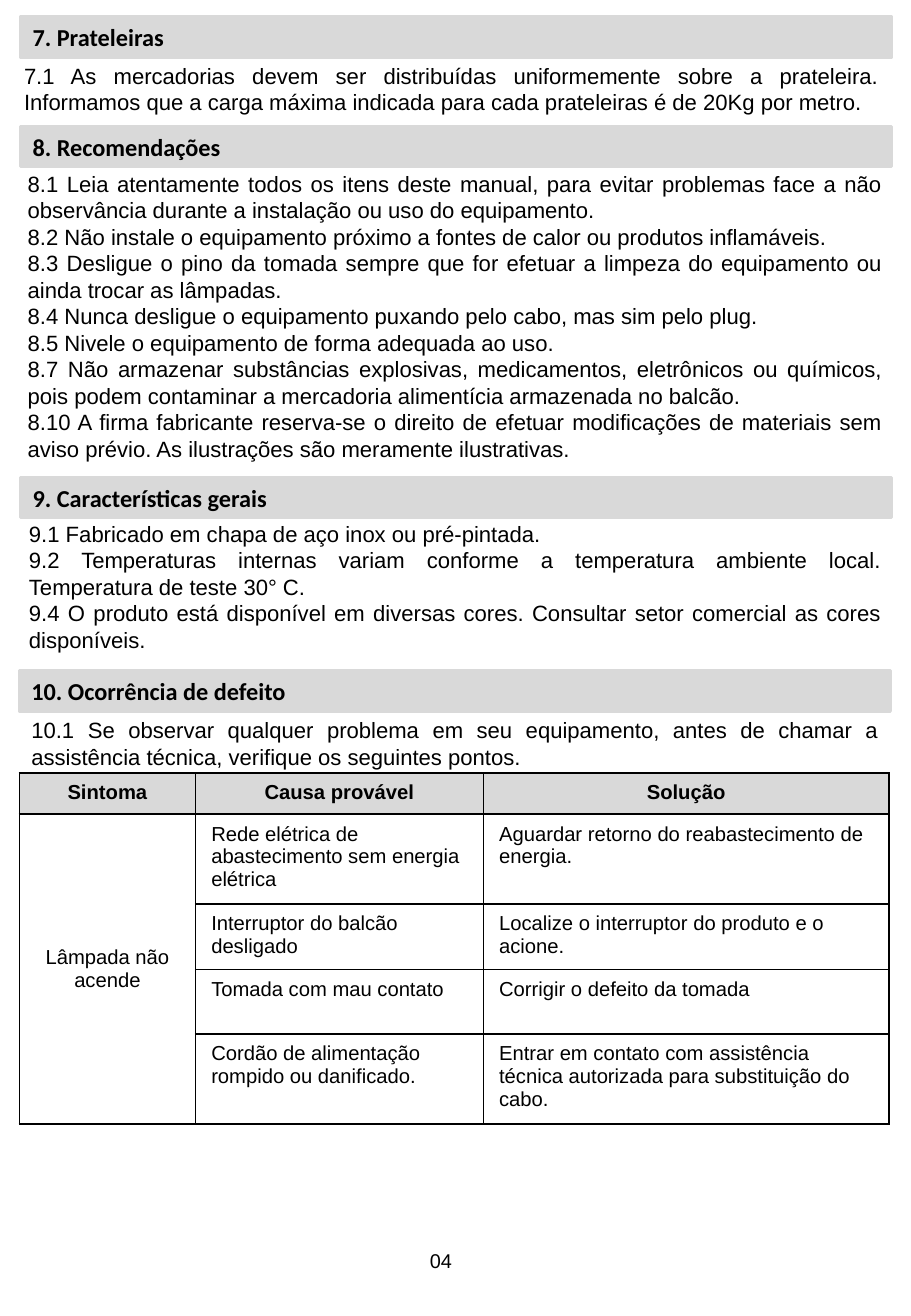
from pptx import Presentation
from pptx.dml.color import RGBColor
from pptx.enum.shapes import MSO_SHAPE as Shape
from pptx.enum.text import MSO_ANCHOR as Anchor, MSO_AUTO_SIZE as Fit, PP_ALIGN as Align
from pptx.util import Inches, Pt
from pptx.oxml import parse_xml
from pptx.oxml.ns import nsdecls

WIDE, HIGH = 7.5, 10.83
BLACK, GREY = "000000", "D9D9D9"

PARTS = [
    ("7. Prateleiras", (2.27, 1.29), (1.33, 4.25, 96.4, 4.99), [
        "7.1 As mercadorias devem ser distribuídas uniformemente sobre a prateleira. Informamos que a carga máxima indicada para cada prateleiras é de 20Kg por metro.",
    ]),
    ("8. Recomendações", (2.27, 9.6), (1.73, 12.47, 96.4, 23.36), [
        "8.1 Leia atentamente todos os itens deste manual, para evitar problemas face a não observância durante a instalação ou uso do equipamento.",
        "8.2 Não instale o equipamento próximo a fontes de calor ou produtos inflamáveis.",
        "8.3 Desligue o pino da tomada sempre que for efetuar a limpeza do equipamento ou ainda trocar as lâmpadas.",
        "8.4 Nunca desligue o equipamento puxando pelo cabo, mas sim pelo plug.",
        "8.5 Nivele o equipamento de forma adequada ao uso.",
        "8.7 Não armazenar substâncias explosivas, medicamentos, eletrônicos ou químicos, pois podem contaminar a mercadoria alimentícia armazenada no balcão.",
        "8.10 A firma fabricante reserva-se o direito de efetuar modificações de materiais sem aviso prévio. As ilustrações são meramente ilustrativas.",
    ]),
    ("9. Características gerais", (2.27, 36.29), (1.87, 39.06, 96.13, 13.11), [
        "9.1 Fabricado em chapa de aço inox ou pré-pintada.",
        "9.2 Temperaturas internas variam conforme a temperatura ambiente local. Temperatura de teste 30° C.",
        "9.4 O produto está disponível em diversas cores. Consultar setor comercial as cores disponíveis.",
    ]),
    ("10. Ocorrência de defeito", (2.13, 50.97), (2.13, 54.02, 95.6, 4.99), [
        "10.1 Se observar qualquer problema em seu equipamento, antes de chamar a assistência técnica, verifique os seguintes pontos.",
    ]),
]
FAULTS = [
    ("Sintoma", "Causa provável", "Solução"),
    ("Lâmpada não acende", "Rede elétrica de abastecimento sem energia elétrica",
     "Aguardar retorno do reabastecimento de energia."),
    ("", "Interruptor do balcão desligado", "Localize o interruptor do produto e o acione."),
    ("", "Tomada com mau contato", "Corrigir o defeito da tomada"),
    ("", "Cordão de alimentação rompido ou danificado.",
     "Entrar em contato com assistência técnica autorizada para substituição do cabo."),
]


def tint(code):
    """Turn a hex string into a colour."""
    return RGBColor.from_string(code)


def write(frame, *lines, size=13.1, face="Arial", bold=False, align=Align.LEFT, color=BLACK):
    """Write one paragraph per line with a shared format."""
    for n, line in enumerate(lines):
        para = frame.add_paragraph() if n else frame.paragraphs[0]
        para.alignment = align
        run = para.add_run()
        run.text = line
        font = run.font
        font.size, font.name, font.bold = Pt(size), face, bold
        font.color.rgb = tint(color)


class Page:
    """Draw styled elements placed by percent shares of the slide."""

    def __init__(self, slide):
        """Keep the current slide."""
        self.slide = slide

    def across(self, share):
        """Convert a percent of the width."""
        return Inches(WIDE * share / 100)

    def down(self, share):
        """Convert a percent of the height."""
        return Inches(HIGH * share / 100)

    def place(self, x, y, w, h):
        """Convert a box of shares."""
        return self.across(x), self.down(y), self.across(w), self.down(h)

    def bar(self, text, x, y):
        """Add a grey section heading."""
        bar = self.slide.shapes.add_shape(Shape.RECTANGLE, *self.place(x, y, 95.6, 3.05))
        bar.shadow.inherit = False
        bar.fill.solid()
        bar.fill.fore_color.rgb = tint(GREY)
        bar.line.color.rgb = tint(GREY)
        bar.line.width = Pt(2)
        bar.text_frame.vertical_anchor = Anchor.MIDDLE
        write(bar.text_frame, text, size=14.4, face="Calibri", bold=True)

    def text(self, box, *lines, **style):
        """Add a wrapped text box."""
        frame = self.slide.shapes.add_textbox(*self.place(*box)).text_frame
        frame.word_wrap = True
        frame.auto_size = Fit.SHAPE_TO_FIT_TEXT
        write(frame, *lines, **style)

    def cell(self, cell, text, head, mid):
        """Format one table cell."""
        cell.margin_left = cell.margin_right = Inches(0.13)
        cell.margin_top = cell.margin_bottom = Inches(0.07)
        for side in ("lnL", "lnR", "lnT", "lnB"):
            cell._tc.get_or_add_tcPr().append(parse_xml(
                f'<a:{side} {nsdecls("a")} w="{Pt(1)}"><a:solidFill>'
                f'<a:srgbClr val="{BLACK}"/></a:solidFill></a:{side}>'))
        if head:
            cell.fill.solid()
            cell.fill.fore_color.rgb = tint(GREY)
        else:
            cell.fill.background()
        if mid:
            cell.vertical_anchor = Anchor.MIDDLE
        if text:
            write(cell.text_frame, text, size=12, bold=head,
                  align=Align.CENTER if head or mid else Align.LEFT)

    def table(self, data, box, cols, rows):
        """Add a bordered table whose first column is merged."""
        grid = self.slide.shapes.add_table(len(rows), len(cols), *self.place(*box)).table
        grid.horz_banding = False
        for col, share in zip(grid.columns, cols):
            col.width = self.across(share)
        for row, share in zip(grid.rows, rows):
            row.height = self.down(share)
        for r, line in enumerate(data):
            for c, text in enumerate(line):
                self.cell(grid.cell(r, c), text, r == 0, r > 0 and c == 0)
        grid.cell(1, 0).merge(grid.cell(len(rows) - 1, 0))


def main():
    """Build the manual page."""
    deck = Presentation()
    deck.slide_width, deck.slide_height = Inches(WIDE), Inches(HIGH)
    page = Page(deck.slides.add_slide(deck.slide_layouts[6]))
    for head, spot, box, lines in PARTS:
        page.bar(head, *spot)
        page.text(box, *lines, align=Align.JUSTIFY)
    page.table(FAULTS, (2.13, 58.73, 95.6, 26.4),
               (19.33, 31.6, 44.53), (3.05, 6.65, 4.89, 4.89, 6.74))
    page.text((45.87, 94.46, 7.2, 2.77), "04", size=11.8)
    deck.save("out.pptx")


if __name__ == "__main__":
    main()
